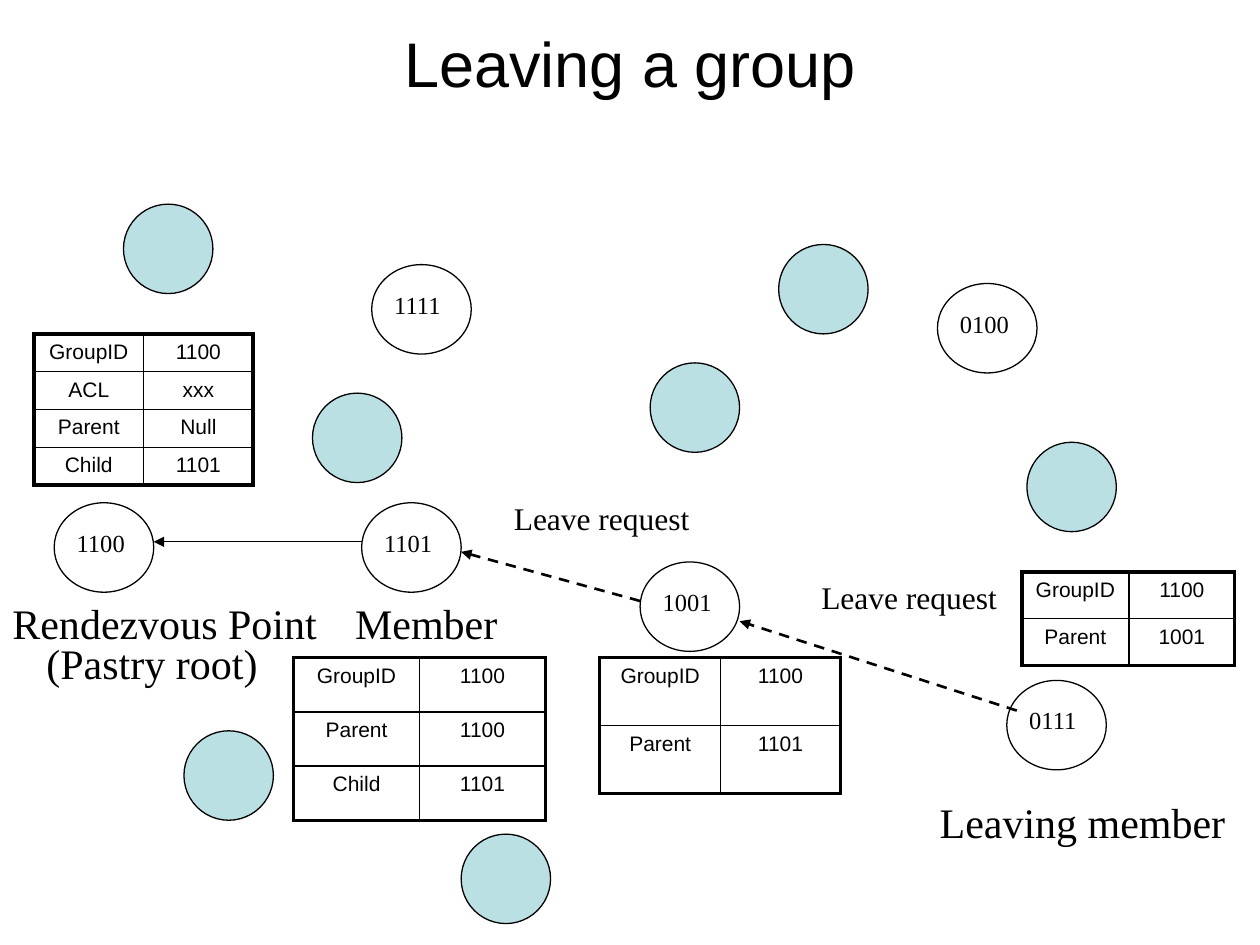
from lxml import etree
from pptx import Presentation
from pptx import util as u
from pptx.dml.color import RGBColor
from pptx.enum import dml, shapes, text
from pptx.oxml import parse_xml
from pptx.oxml.ns import nsdecls, qn

PX = 9144  # 100 px to the inch
COLORS = {"ink": "000000", "outsider": "BBE0E3"}
INK = RGBColor.from_string(COLORS["ink"])
SERIF, SANS = "Times New Roman", "Arial"


def write(frame, words, size=14, font=SERIF, align=text.PP_ALIGN.LEFT):
    para = frame.paragraphs[0]
    para.alignment = align
    span = para.add_run()
    span.text = words
    span.font.size = u.Pt(size)
    span.font.name = font
    span.font.color.rgb = INK


def add_label(words, left, top, width, height, size):
    box = page.shapes.add_textbox(left * PX, top * PX, width * PX, height * PX)
    box.text_frame.word_wrap = False
    box.text_frame.auto_size = text.MSO_AUTO_SIZE.SHAPE_TO_FIT_TEXT
    write(box.text_frame, words, size=size)


deck = Presentation()
deck.slide_width, deck.slide_height = 1000 * PX, 750 * PX
page = deck.slides.add_slide(deck.slide_layouts[5])

title = page.shapes.title
title.left, title.top, title.width, title.height = 50 * PX, 8 * PX, 900 * PX, 83 * PX
title.text_frame.vertical_anchor = text.MSO_ANCHOR.MIDDLE
write(title.text_frame, "Leaving a group", size=36, font=SANS, align=text.PP_ALIGN.CENTER)

# State tables: left, top, column widths, row height, rows
state_tables = [
    (233, 522, (100, 100), 43, [("GroupID", "1100"), ("Parent", "1100"), ("Child", "1101")]),
    (476, 522, (96, 95), 54, [("GroupID", "1100"), ("Parent", "1101")]),
    (811, 454, (85, 84), 37, [("GroupID", "1100"), ("Parent", "1001")]),
    (27, 265, (87, 87), 30,
     [("GroupID", "1100"), ("ACL", "xxx"), ("Parent", "Null"), ("Child", "1101")]),
]
for left, top, widths, row_height, rows in state_tables:
    table = page.shapes.add_table(
        len(rows), len(widths), left * PX, top * PX,
        sum(widths) * PX, len(rows) * row_height * PX).table
    table.first_row = table.horz_banding = False
    for column, width in zip(table.columns, widths):
        column.width = width * PX
    for r, row in enumerate(rows):
        table.rows[r].height = row_height * PX
        for c, words in enumerate(row):
            cell = table.cell(r, c)
            write(cell.text_frame, words, size=12, font=SANS, align=text.PP_ALIGN.CENTER)
            cell.fill.background()
            outer = {"lnL": c == 0, "lnR": c == len(row) - 1,
                     "lnT": r == 0, "lnB": r == len(rows) - 1}
            for i, (side, is_outer) in enumerate(outer.items()):
                weight = u.Pt(2.25 if is_outer else 1)
                cell._tc.get_or_add_tcPr().insert(i, parse_xml(
                    f'<a:{side} {nsdecls("a")} w="{weight}"><a:solidFill>'
                    f'<a:srgbClr val="{COLORS["ink"]}"/></a:solidFill></a:{side}>'))

# Nodes: those in the group carry an id, those outside it are filled
members = [("1100", 43, 399), ("1101", 287, 399), ("1111", 295, 210),
           ("1001", 508, 446), ("0111", 799, 540), ("0100", 744, 225)]
outsiders = [(98, 162), (248, 312), (146, 580), (516, 288),
             (815, 351), (618, 194), (366, 662)]
nodes = members + [(None, left, top) for left, top in outsiders]
for node_id, left, top in nodes:
    width = 79 if node_id else 71
    node = page.shapes.add_shape(
        shapes.MSO_SHAPE.OVAL, left * PX, top * PX, width * PX, 71 * PX)
    node.shadow.inherit = False
    node.line.color.rgb = INK
    node.line.width = u.Pt(0.75)
    if node_id:
        node.fill.background()
        add_label(node_id, left + 8, top + 15, 59, 33, 14)
    else:
        node.fill.solid()
        node.fill.fore_color.rgb = RGBColor.from_string(COLORS["outsider"])

# Arrows: start, end, whether it is a leave request
arrows = [((508, 477), (366, 438), True),
          ((287, 430), (122, 430), False),
          ((807, 564), (587, 493), True)]
for start, end, is_request in arrows:
    arrow = page.shapes.add_connector(
        shapes.MSO_CONNECTOR.STRAIGHT, *(n * PX for n in start + end))
    arrow.line.color.rgb = INK
    arrow.line.width = u.Pt(1.5 if is_request else 0.75)
    if is_request:
        arrow.line.dash_style = dml.MSO_LINE.DASH
    etree.SubElement(arrow.line._get_or_add_ln(), qn("a:tailEnd"), type="triangle")
    etree.SubElement(arrow._element.spPr, qn("a:effectLst"))

for label in [("Rendezvous Point", 0, 469, 262, 50, 24),
              ("(Pastry root)", 27, 501, 188, 50, 24),
              ("Member", 272, 469, 133, 50, 24),
              ("Leaving member", 736, 627, 247, 50, 24),
              ("Leave request", 642, 454, 160, 40, 18),
              ("Leave request", 398, 391, 160, 40, 18)]:
    add_label(*label)

deck.save("out.pptx")
